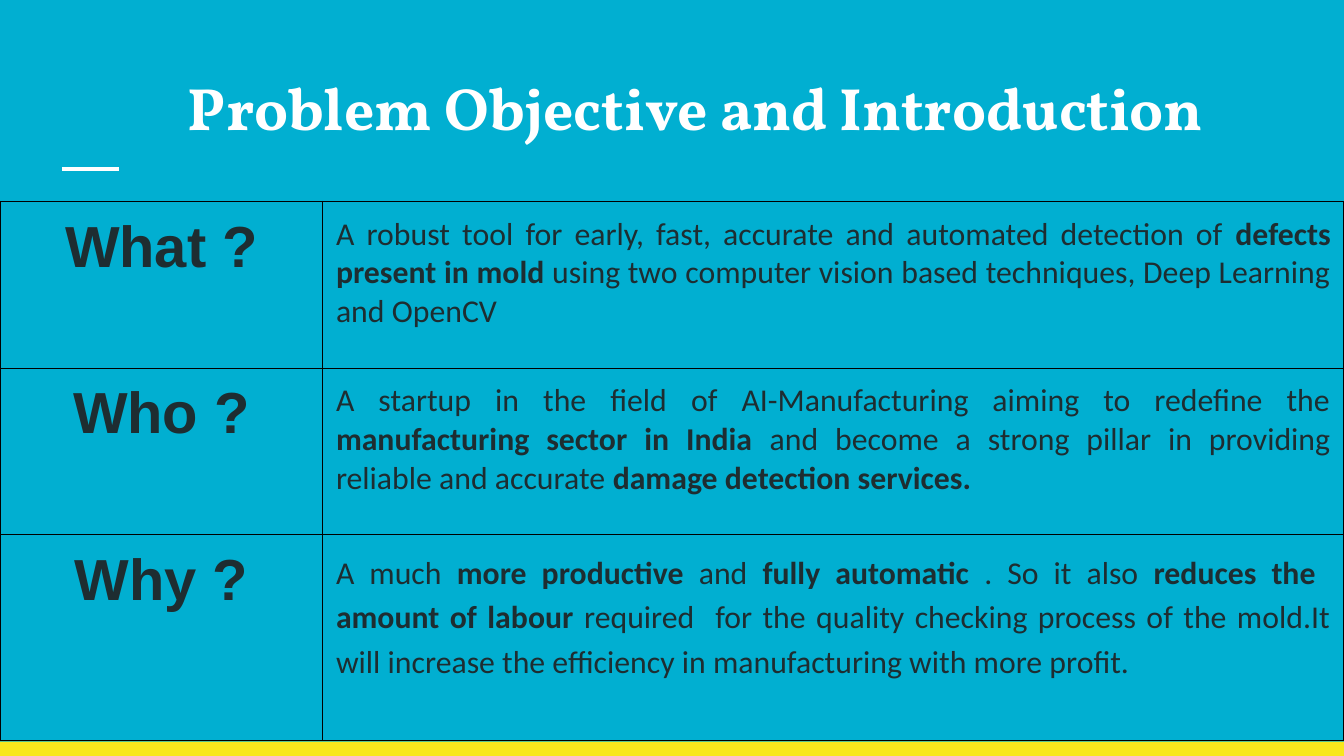
from dataclasses import dataclass

from lxml import etree
from pptx import Presentation
from pptx import util as u
from pptx.dml.color import RGBColor
from pptx.enum import shapes, text
from pptx.oxml import ns

COLORS = {
    "background": "01AFD1",
    "bar": "F8E71C",
    "title": "FFFFFF",
    "body": "1E2D31",
    "border": "000000",
}
INSET = u.Cm(0.25)
SLIDE_WIDTH = u.Cm(25.4)
SLIDE_HEIGHT = u.Cm(14.29)


@dataclass
class Run:
    content: str
    bold: bool = False


@dataclass
class Question:
    label: str
    answer: list[Run]
    height: float = 3.15
    line_spacing: float = 1.0


QUESTIONS = [
    Question("What ?", [
        Run("A robust tool for early, fast, accurate and automated detection of "),
        Run("defects present in mold", True),
        Run(" using two computer vision based techniques, Deep Learning and OpenCV"),
    ]),
    Question("Who ?", [
        Run("A startup in the field of AI-Manufacturing aiming to redefine the "),
        Run("manufacturing sector in India", True),
        Run(" and become a strong pillar in providing reliable and accurate "),
        Run("damage detection services.", True),
    ]),
    Question("Why ?", [
        Run("A much "),
        Run("more productive", True),
        Run(" and "),
        Run("fully automatic", True),
        Run(" . So it also "),
        Run("reduces the  amount of labour", True),
        Run(" required  for the quality checking process of the mold."
            "It will increase the efficiency in manufacturing with more profit."),
    ], height=3.89, line_spacing=1.15),
]


def color(name: str) -> RGBColor:
    return RGBColor.from_string(COLORS[name])


def add_runs(paragraph, runs: list[Run], font_name: str, size: float, color_name: str) -> None:
    for item in runs:
        run = paragraph.add_run()
        run.text = item.content
        run.font.name = font_name
        run.font.size = u.Pt(size)
        run.font.bold = item.bold
        run.font.color.rgb = color(color_name)


def set_insets(target) -> None:
    target.margin_left = target.margin_right = INSET
    target.margin_top = target.margin_bottom = INSET


def add_borders(cell) -> None:
    properties = cell._tc.get_or_add_tcPr()
    for index, side in enumerate(("lnL", "lnR", "lnT", "lnB")):
        line = etree.Element(ns.qn(f"a:{side}"), w=str(u.Pt(0.75)))
        fill = etree.SubElement(line, ns.qn("a:solidFill"))
        etree.SubElement(fill, ns.qn("a:srgbClr"), val=COLORS["border"])
        properties.insert(index, line)


def fill_cell(cell, runs: list[Run], font_name: str, size: float,
              alignment, line_spacing: float = 1.0) -> None:
    cell.fill.background()
    set_insets(cell)
    add_borders(cell)
    paragraph = cell.text_frame.paragraphs[0]
    paragraph.alignment = alignment
    paragraph.line_spacing = line_spacing
    add_runs(paragraph, runs, font_name, size, "body")


def add_decoration(slide) -> None:
    bar = slide.shapes.add_shape(
        shapes.MSO_SHAPE.RECTANGLE, 0, u.Cm(14.02), SLIDE_WIDTH, u.Cm(0.27))
    bar.shadow.inherit = False
    bar.fill.solid()
    bar.fill.fore_color.rgb = color("bar")
    bar.line.fill.background()

    rule = slide.shapes.add_connector(
        shapes.MSO_CONNECTOR.STRAIGHT, u.Cm(1.17), u.Cm(3.2), u.Cm(2.24), u.Cm(3.2))
    rule.line.color.rgb = color("title")
    rule.line.width = u.Pt(2.25)
    etree.SubElement(rule._element.spPr, ns.qn("a:effectLst"))


def format_title(slide) -> None:
    title = slide.shapes.title
    title.left, title.top = u.Cm(3.3), u.Cm(1.09)
    title.width, title.height = u.Cm(20.57), u.Cm(2.54)
    frame = title.text_frame
    frame.word_wrap = True
    frame.auto_size = text.MSO_AUTO_SIZE.NONE
    frame.vertical_anchor = text.MSO_ANCHOR.TOP
    set_insets(frame)
    paragraph = frame.paragraphs[0]
    paragraph.alignment = text.PP_ALIGN.LEFT
    add_runs(paragraph, [Run("Problem Objective and Introduction", True)],
             "Vollkorn", 32, "title")


def add_question_table(slide, questions: list[Question]) -> None:
    height = u.Cm(sum(question.height for question in questions))
    table = slide.shapes.add_table(
        len(questions), 2, 0, u.Cm(3.81), SLIDE_WIDTH, height).table
    table.first_row = False
    table.horz_banding = False
    table.columns[0].width = u.Cm(6.1)
    table.columns[1].width = u.Cm(19.3)
    for index, question in enumerate(questions):
        table.rows[index].height = u.Cm(question.height)
        fill_cell(table.cell(index, 0), [Run(question.label, True)],
                  "Arial", 31, text.PP_ALIGN.CENTER)
        fill_cell(table.cell(index, 1), question.answer,
                  "Calibri", 17, text.PP_ALIGN.JUSTIFY, question.line_spacing)


def main() -> None:
    presentation = Presentation()
    presentation.slide_width = SLIDE_WIDTH
    presentation.slide_height = SLIDE_HEIGHT
    slide = presentation.slides.add_slide(presentation.slide_layouts.get_by_name("Title Only"))
    slide.background.fill.solid()
    slide.background.fill.fore_color.rgb = color("background")
    add_decoration(slide)
    format_title(slide)
    add_question_table(slide, QUESTIONS)
    presentation.save("out.pptx")


if __name__ == "__main__":
    main()
